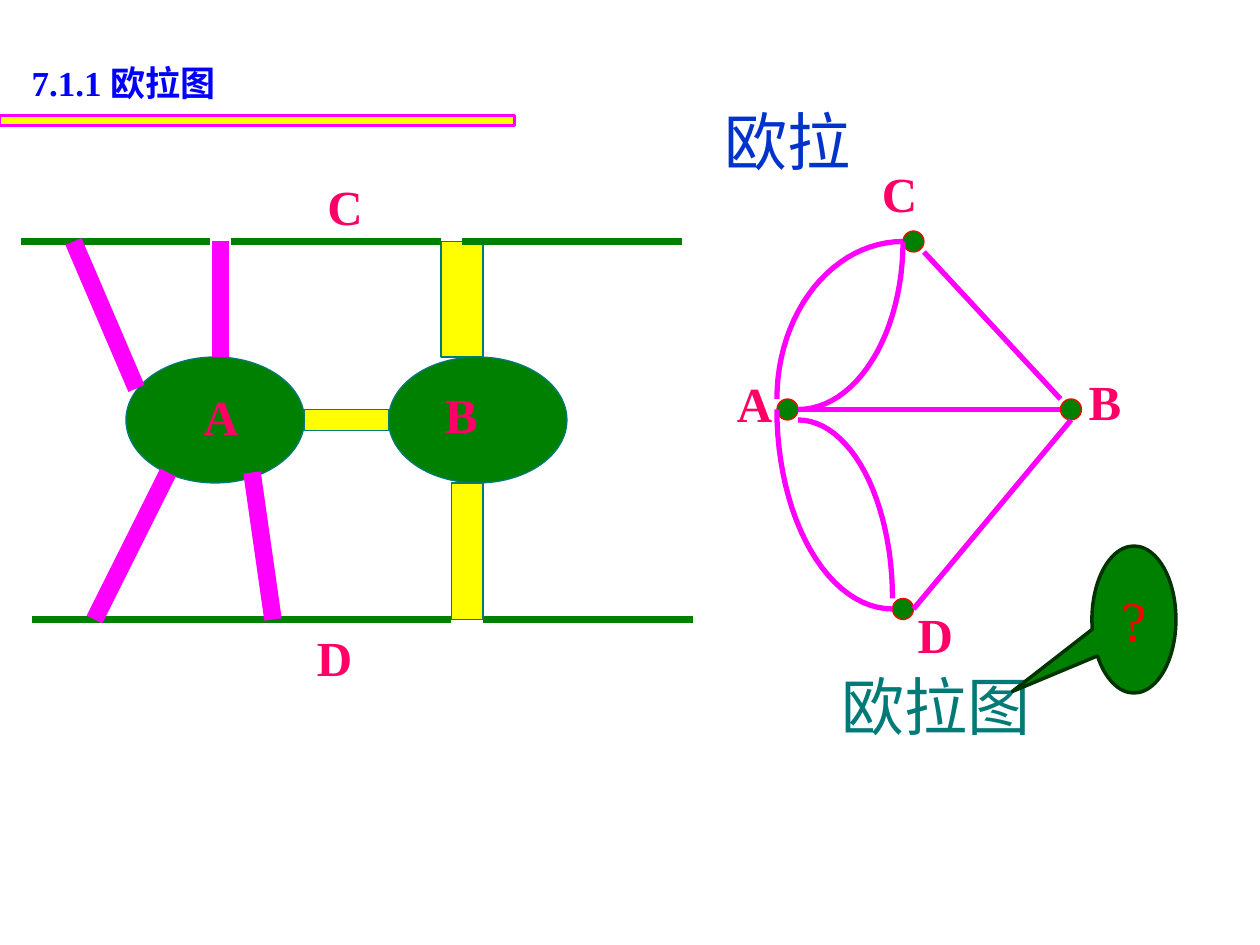
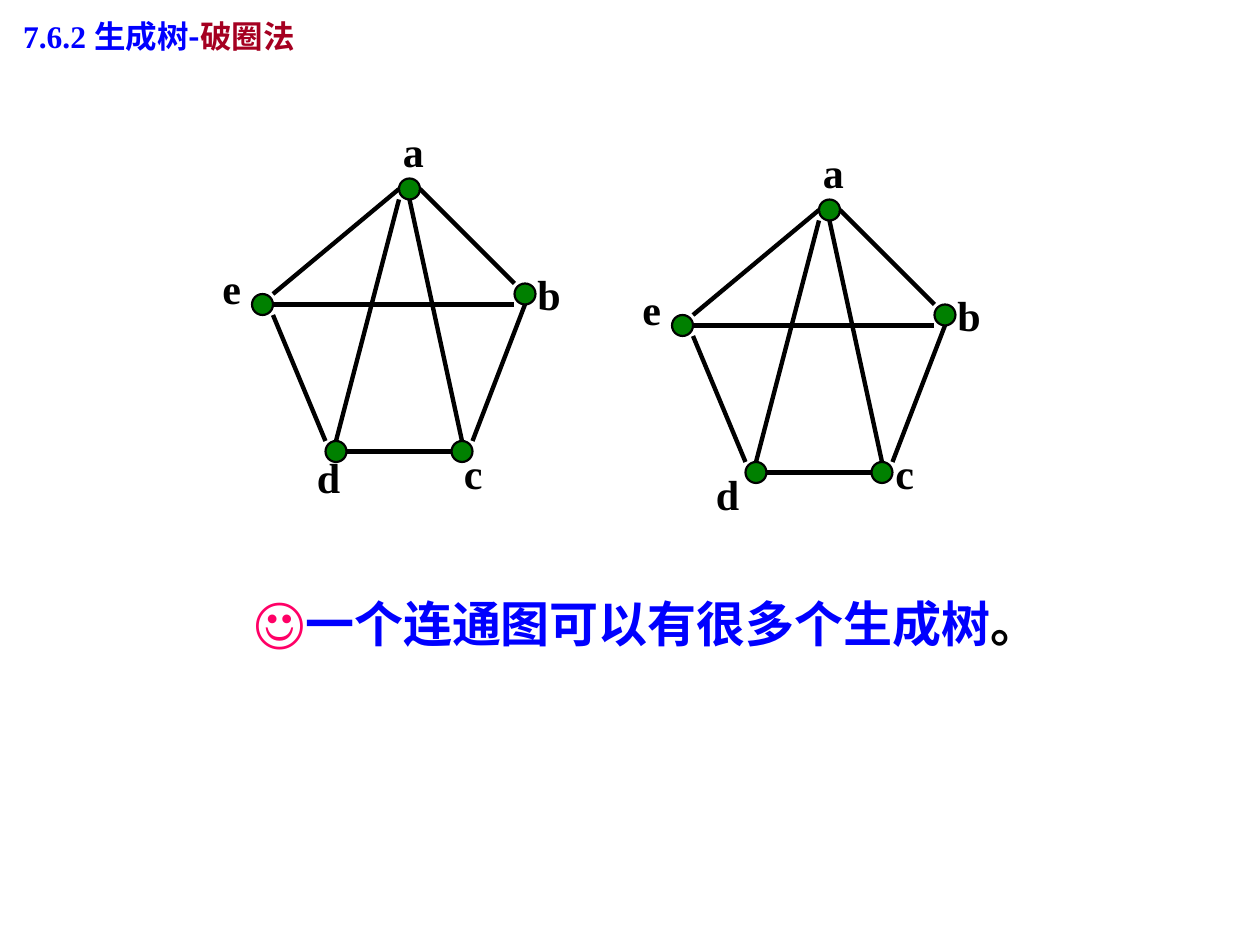
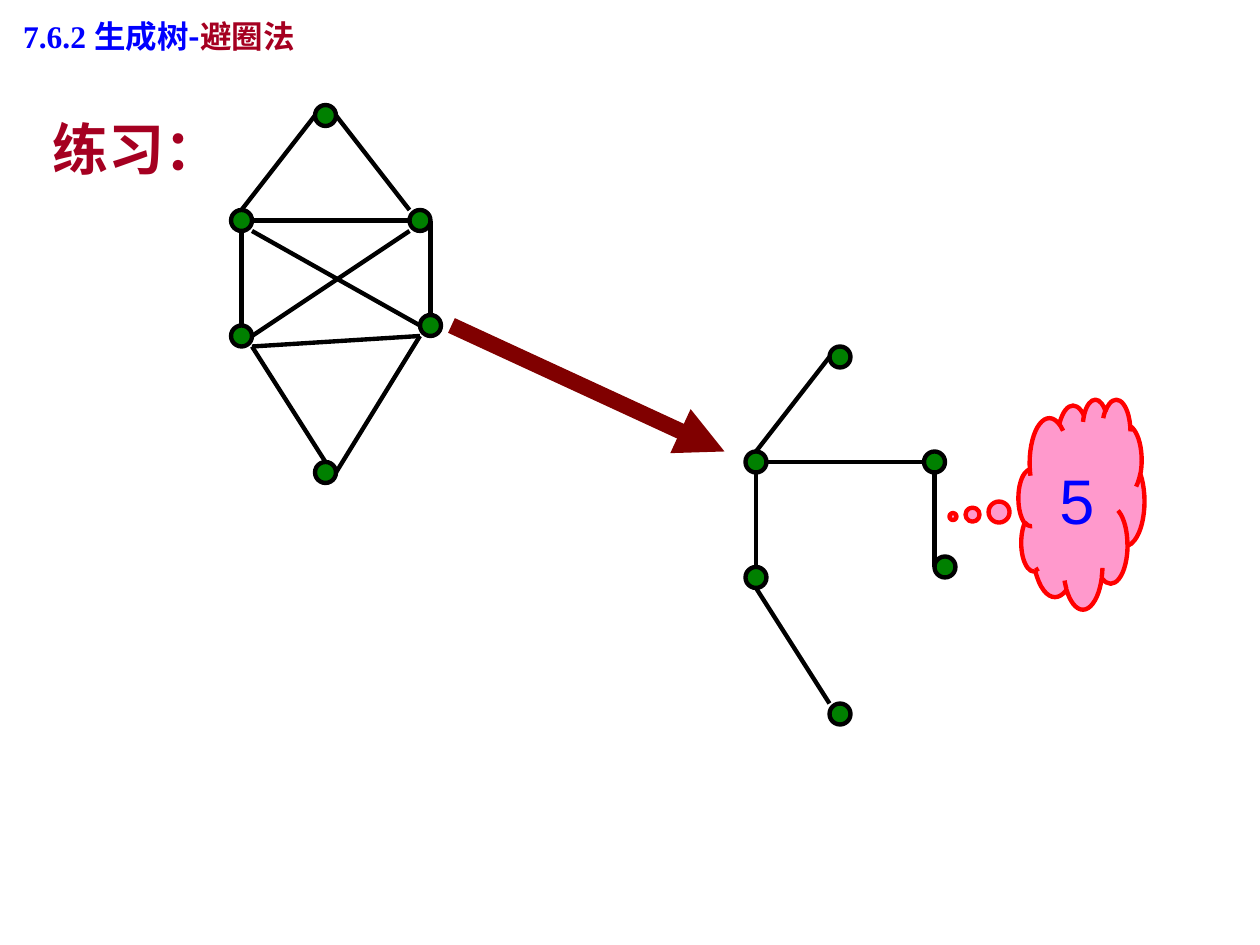
from math import cos, pi, sin

from lxml.etree import SubElement
from pptx import Presentation
from pptx.dml.color import RGBColor
from pptx.enum.shapes import MSO_CONNECTOR as Link, MSO_SHAPE as Shape
from pptx.enum.text import MSO_ANCHOR as Anchor, MSO_AUTO_SIZE as Fit, PP_ALIGN as Align
from pptx.oxml.ns import qn
from pptx.util import Cm, Pt

BLUE = RGBColor(0x00, 0x00, 0xFF)
ROYAL = RGBColor(0x00, 0x33, 0xCC)
TEAL = RGBColor(0x00, 0x7A, 0x77)
GREEN = RGBColor(0x00, 0x80, 0x00)
DARK_GREEN = RGBColor(0x00, 0x33, 0x00)
MAGENTA = RGBColor(0xFF, 0x00, 0xFF)
YELLOW = RGBColor(0xFF, 0xFF, 0x00)
RED = RGBColor(0xFF, 0x00, 0x00)
CRIMSON = RGBColor(0xA5, 0x00, 0x21)
MAROON = RGBColor(0x80, 0x00, 0x00)
ROSE = RGBColor(0xFF, 0x00, 0x66)
PINK = RGBColor(0xFF, 0x99, 0xCC)
BLACK = RGBColor(0x00, 0x00, 0x00)

SERIF, SANS, CJK = "Times New Roman", "Arial", "Noto Sans CJK SC"
STEP = 2.54 / 12  # the drawing grid: twelve steps to the inch
NODE = 2
ARC_PARTS = 24


def grid(*steps):
    return [Cm(step * STEP) for step in steps]


def shift(points, right, down):
    return [(x + right, y + down) for x, y in points]


class Sketch:
    """Holds the deck and the page being drawn; places are in grid steps."""

    def __init__(self):
        self.deck = Presentation()
        self.deck.slide_width, self.deck.slide_height = Cm(25.4), Cm(19.05)

    def new_page(self, place, size, spans):
        self.page = self.deck.slides.add_slide(self.deck.slide_layouts[5])
        title = self.page.shapes.title
        title.left, title.top, title.width, title.height = grid(*place)
        self.fill_text(title, [(text, SERIF if i == 0 else CJK, size, color, True)
                               for i, (text, color) in enumerate(spans)])

    def fill_text(self, box, spans, align=Align.LEFT, anchor=Anchor.TOP,
                  fit=Fit.SHAPE_TO_FIT_TEXT, wrap=True):
        """Fill a box with runs given as (text, font, size, colour, bold)."""
        frame = box.text_frame
        frame.word_wrap, frame.auto_size = wrap, fit
        frame.vertical_anchor = anchor
        para = frame.paragraphs[0]
        para.alignment = align
        for text, name, size, color, bold in spans:
            span = para.add_run()
            span.text = text
            font = span.font
            font.name, font.size, font.bold = name, Pt(size), bold
            font.color.rgb = color
            SubElement(span._r.get_or_add_rPr(), qn("a:ea"), typeface=CJK)

    def text(self, place, *spans, wrap=True):
        box = self.page.shapes.add_textbox(*grid(*place))
        self.fill_text(box, spans, wrap=wrap)

    def letter(self, name, x, y):
        self.text((x, y, 5.7, 6.8), (name, SERIF, 28, ROSE, True), wrap=False)

    def shape(self, kind, place, fill, line, weight):
        shape = self.page.shapes.add_shape(kind, *grid(*place))
        shape.shadow.inherit = False
        shape.fill.solid()
        shape.fill.fore_color.rgb = fill
        shape.line.color.rgb = line
        shape.line.width = Pt(weight)
        return shape

    def callout(self, kind, place, pointer, fill, line, weight, span):
        bubble = self.shape(kind, place, fill, line, weight)
        bubble.adjustments[0], bubble.adjustments[1] = pointer
        self.fill_text(bubble, [span], Align.CENTER, Anchor.MIDDLE, Fit.NONE)

    def nodes(self, spots, line, weight):
        for x, y in spots:
            self.shape(Shape.OVAL, (x, y, NODE, NODE), GREEN, line, weight)

    def line(self, start, end, color=BLACK, weight=2.5, arrow=False):
        edge = self.page.shapes.add_connector(Link.STRAIGHT, *grid(*start, *end))
        edge.line.color.rgb = color
        edge.line.width = Pt(weight)
        properties = edge._element.spPr
        if arrow:
            SubElement(properties.find(qn("a:ln")), qn("a:tailEnd"), type="triangle")
        SubElement(properties, qn("a:effectLst"))

    def arc(self, start, end, color, weight):
        """Quarter ellipse that leaves start level and reaches end upright."""
        (x0, y0), (x1, y1) = start, end
        turns = [pi / 2 * i / ARC_PARTS for i in range(ARC_PARTS + 1)]
        points = [grid(x0 + (x1 - x0) * sin(turn), y0 + (y1 - y0) * (1 - cos(turn)))
                  for turn in turns]
        outline = self.page.shapes.build_freeform(*points[0])
        outline.add_line_segments(points[1:], close=False)
        curve = outline.convert_to_shape()
        curve.shadow.inherit = False
        curve.fill.background()
        curve.line.color.rgb = color
        curve.line.width = Pt(weight)


def draw_bridges(sketch):
    top, bottom = 23, 59
    sketch.shape(Shape.RECTANGLE, (42, top, 4, 11), YELLOW, TEAL, 0.75)
    banks = {bottom: [(3, 23), (23, 43), (46, 66)],
             top: [(2, 20), (22, 42), (44, 65)]}
    for y, parts in banks.items():
        for left, right in parts:
            sketch.line((left, y), (right, y), GREEN, 4.25)
    for left in (12, 37):
        sketch.shape(Shape.OVAL, (left, 34, 17, 12), GREEN, TEAL, 0.75)
    for place in [(29, 39, 8, 2), (43, 46, 3, 13)]:
        sketch.shape(Shape.RECTANGLE, place, YELLOW, TEAL, 0.75)
    for name, x, y in [("C", 30, 16.2), ("D", 29, 59.2), ("A", 18.2, 36.2), ("B", 41.2, 36)]:
        sketch.letter(name, x, y)
    for start, end in [((7, top), (13, 37)), ((21, 34), (21, top)),
                       ((24, 45), (26, bottom)), ((16, 45), (9, bottom))]:
        sketch.line(start, end, MAGENTA, 10)


def draw_bridge_graph(sketch):
    sketch.nodes([(85, 57), (101, 38), (74, 38), (86, 22)], RED, 0.75)
    for name, x, y in [("C", 82.8, 15), ("D", 86.2, 57), ("A", 69, 35), ("B", 102.5, 34.8)]:
        sketch.letter(name, x, y)
    for start, end in [((101, 38), (88, 24)), ((76, 39), (101, 39)), ((87, 58), (102, 40))]:
        sketch.line(start, end, MAGENTA, 3)
    for start, end in [((86, 23), (74, 38)), ((76, 40), (85, 57)),
                       ((76, 39), (86, 23)), ((85, 58), (74, 39))]:
        sketch.arc(start, end, MAGENTA, 3)


def euler_page(sketch):
    sketch.new_page((1.8, 5.3, 36.2, 5.2), 20, [("7.1.1 ", BLUE), ("欧拉图", BLUE)])
    sketch.shape(Shape.RECTANGLE, (0, 11, 49, 1), YELLOW, MAGENTA, 1.75)
    sketch.text((67.8, 9.2, 26.2, 8.4), ("欧拉", SANS, 36, ROYAL, False))
    draw_bridge_graph(sketch)
    draw_bridges(sketch)
    sketch.text((79, 63, 35.2, 8.4), ("欧拉图", SANS, 36, TEAL, False))
    sketch.callout(Shape.OVAL_CALLOUT, (104, 52, 8, 14), (-1.45, 0.49),
                   GREEN, DARK_GREEN, 2, ("?", SERIF, 32, RED, False))


def tree_page(sketch, method):
    sketch.new_page((1, 1, 37, 4.8), 18,
                    [("7.6.2 ", BLUE), ("生成树-", BLUE), (method, CRIMSON)])


def draw_pentagon(sketch, right, down, c_spot, d_spot):
    """Draw the five-node graph moved by (right, down); c and d are placed apart."""
    a_spot, b_spot, e_spot = shift([(37.2, 11.4), (50, 25), (20, 24.4)], right, down)
    for name, spot, width, wrap in [("a", a_spot, 4.3, False), ("b", b_spot, 5, True),
                                    ("c", c_spot, 8.9, True), ("d", d_spot, 4.6, False),
                                    ("e", e_spot, 4.2, False)]:
        sketch.text((*spot, width, 6), (name, SERIF, 24, BLACK, True), wrap=wrap)
    spots = [(38, 17), (24, 28), (49, 27), (31, 42), (43, 42)]
    sketch.nodes(shift(spots, right, down), BLACK, 1.25)
    for edge in [((26, 28), (38, 18)), ((26, 30), (31, 42)), ((33, 43), (43, 43)),
                 ((45, 42), (50, 29)), ((40, 18), (49, 27)), ((26, 29), (49, 29)),
                 ((38, 19), (32, 42)), ((39, 19), (44, 42))]:
        sketch.line(*shift(edge, right, down))


def break_cycles_page(sketch):
    tree_page(sketch, "破圈法")
    draw_pentagon(sketch, 0, 0, c_spot=(43, 42), d_spot=(29, 42.4))
    draw_pentagon(sketch, 40, 2, c_spot=(84.1, 42), d_spot=(67, 44))
    sketch.text((23, 55.3, 89, 7.6), ("☺", SANS, 32, ROSE, True),
                ("一个连通图可以有很多个生成树", SANS, 28, BLUE, True),
                ("。", SANS, 28, BLACK, True))


def avoid_cycles_page(sketch):
    tree_page(sketch, "避圈法")
    sketch.text((3.8, 10.3, 19.2, 7.6), ("练习：", SANS, 32, CRIMSON, True))
    spots = [(22, 20), (39, 20), (22, 31), (40, 30), (30, 44), (30, 10)]
    graph_edges = [((23, 20), (30, 11)), ((23, 22), (23, 31)), ((24, 33), (31, 44)),
                   ((32, 45), (40, 32)), ((41, 30), (41, 21)), ((32, 11), (39, 20)),
                   ((24, 32), (39, 22)), ((24, 22), (40, 31)), ((24, 33), (40, 32)),
                   ((24, 21), (39, 21))]
    tree_edges = [((79, 34), (72, 43)), ((73, 44), (88, 44)), ((72, 45), (72, 54)),
                  ((89, 45), (89, 54)), ((72, 56), (79, 67))]
    for node_spots, edges in [(spots, graph_edges), (shift(spots, 49, 23), tree_edges)]:
        sketch.nodes(node_spots, BLACK, 2.5)
        for start, end in edges:
            sketch.line(start, end)
    sketch.line((43, 31), (69, 43), MAROON, 9.25, arrow=True)
    sketch.callout(Shape.CLOUD_CALLOUT, (97, 38, 12, 20), (-1.02, 0.06),
                   PINK, RED, 2.5, ("5", SANS, 36, BLUE, False))


def main():
    sketch = Sketch()
    euler_page(sketch)
    break_cycles_page(sketch)
    avoid_cycles_page(sketch)
    sketch.deck.save("out.pptx")


if __name__ == "__main__":
    main()
